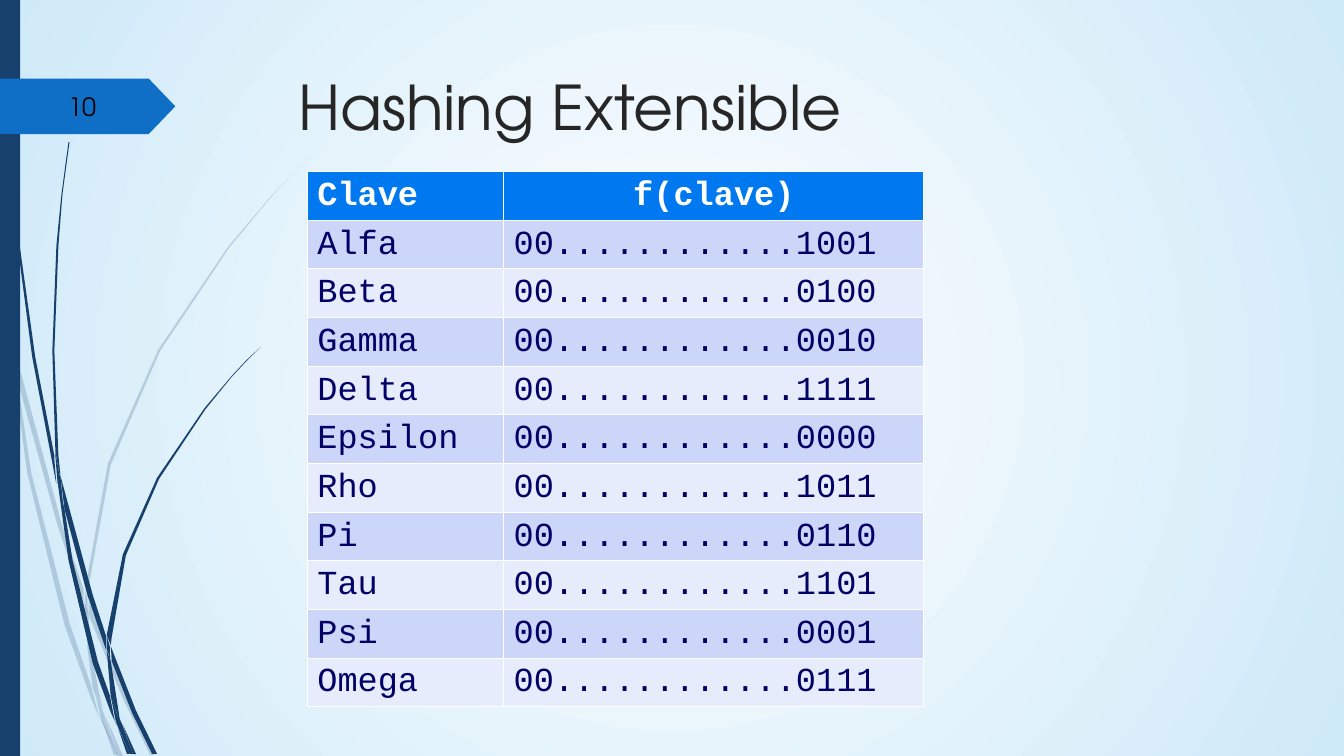
from dataclasses import dataclass

from lxml.etree import SubElement
from pptx import Presentation
from pptx.dml.color import RGBColor
from pptx.enum.shapes import MSO_SHAPE
from pptx.enum.text import MSO_ANCHOR, PP_ALIGN
from pptx.oxml.ns import qn
from pptx.util import Cm, Pt

Point = tuple[int, int]


@dataclass(frozen=True)
class Theme:
    display_font: str = "TeX Gyre Adventor"
    table_font: str = "Courier New"
    title_size: float = 44
    number_size: float = 18
    table_size: float = 24
    navy: str = "17406D"
    tab: str = "0F6FC6"
    title: str = "262626"
    number: str = "000000"
    header: str = "0078F0"
    header_text: str = "FFFFFF"
    body_text: str = "000066"
    bands: tuple[str, str] = ("CBD6F9", "E7ECFC")
    border: str = "FFFFFF"
    border_width: float = 0.75
    backdrop: tuple[str, str] = ("FFFFFF", "CEE9F8")


@dataclass(frozen=True)
class Plant:
    opacity: int  # percent
    blades: tuple[tuple[Point, ...], ...]


@dataclass(frozen=True)
class HashRow:
    key: str
    suffix: str


THEME = Theme()
BLADE_UNIT = Cm(2.54) / 100  # blade points are hundredths of an inch

PALE_PLANT = Plant(20, (
    ((10, 349), (7, 321), (0, 282), (0, 299), (9, 343)),
    ((57, 521), (83, 598), (83, 585), (61, 519), (14, 345), (17, 376)),
    ((92, 607), (88, 596), (88, 610), (122, 693), (149, 749), (153, 749), (126, 691)),
    ((118, 750), (122, 750), (105, 711)),
    ((91, 682), (69, 618), (31, 469), (17, 376), (11, 350), (27, 469), (64, 620),
     (90, 692), (99, 713), (97, 706)),
    ((84, 599), (87, 645), (92, 682), (96, 691), (104, 710), (102, 705), (90, 645),
     (88, 610), (88, 608)),
    ((88, 582), (110, 461), (159, 348), (228, 245), (267, 198), (288, 175), (310, 153),
     (288, 175), (267, 197), (227, 244), (157, 347), (107, 460), (85, 582), (85, 585),
     (88, 594)),
    ((101, 714), (113, 749), (117, 749)),
    ((86, 607), (87, 609), (87, 595), (85, 586), (84, 598)),
    ((96, 692), (93, 683), (99, 707), (100, 714), (117, 750), (118, 750), (104, 711)),
))
DARK_PLANT = Plant(100, (
    ((7, 110), (16, 232), (32, 354), (55, 475), (56, 480), (54, 456), (54, 452),
     (35, 354), (18, 232), (8, 109), (4, 48), (3, 0), (3, 48)),
    ((87, 591), (105, 644), (105, 632), (105, 630), (92, 590), (60, 472), (64, 505)),
    ((113, 649), (110, 641), (111, 656), (131, 707), (151, 748), (156, 748), (135, 705)),
    ((109, 690), (97, 656), (72, 556), (64, 505), (57, 477), (68, 556), (92, 658),
     (110, 707), (116, 720), (114, 716)),
    ((60, 471), (58, 452), (54, 348), (58, 244), (62, 193), (69, 141), (68, 141),
     (61, 193), (56, 244), (52, 348), (55, 448), (59, 470)),
    ((132, 748), (135, 748), (122, 719)),
    ((57, 477), (63, 504), (60, 472), (59, 471), (55, 449), (55, 453)),
    ((111, 632), (125, 551), (158, 475), (204, 406), (230, 374), (244, 359), (259, 344),
     (244, 358), (230, 373), (203, 405), (156, 474), (122, 550), (106, 630), (110, 640)),
    ((117, 722), (126, 748), (129, 748)),
    ((106, 645), (110, 691), (115, 705), (120, 717), (119, 714), (110, 656), (108, 651)),
    ((106, 644), (108, 649), (109, 655), (109, 641), (106, 631), (106, 633)),
    ((115, 706), (110, 691), (115, 716), (117, 721), (129, 748), (132, 748), (121, 718)),
))
HASH_ROWS = (
    HashRow("Alfa", "1001"), HashRow("Beta", "0100"), HashRow("Gamma", "0010"),
    HashRow("Delta", "1111"), HashRow("Epsilon", "0000"), HashRow("Rho", "1011"),
    HashRow("Pi", "0110"), HashRow("Tau", "1101"), HashRow("Psi", "0001"),
    HashRow("Omega", "0111"),
)


def paint(shape, colour: str, opacity: int = 100) -> None:
    shape.shadow.inherit = False
    shape.line.fill.background()
    shape.fill.solid()
    shape.fill.fore_color.rgb = RGBColor.from_string(colour)
    if opacity < 100:
        tint = shape.element.spPr.find(qn("a:solidFill")).find(qn("a:srgbClr"))
        SubElement(tint, qn("a:alpha"), val=str(opacity * 1000))


def style_text(para, font_name: str, size: float, colour: str, bold: bool = False) -> None:
    para.font.name = font_name
    para.font.size = Pt(size)
    para.font.bold = bold
    para.font.color.rgb = RGBColor.from_string(colour)


def draw_background(page) -> None:
    fill = page.background.fill
    fill.gradient()
    for stop, colour in zip(fill.gradient_stops, THEME.backdrop):
        stop.color.rgb = RGBColor.from_string(colour)
    gradient = page.element.find(".//" + qn("a:gradFill"))
    gradient.remove(gradient.find(qn("a:lin")))
    circle = SubElement(gradient, qn("a:path"), path="circle")
    SubElement(circle, qn("a:fillToRect"), l="50000", t="50000", r="50000", b="50000")


def draw_plant(page, plant: Plant) -> None:
    group = page.shapes.add_group_shape()
    for start, *rest in plant.blades:
        builder = group.shapes.build_freeform(*start, scale=BLADE_UNIT)
        builder.add_line_segments(rest, close=True)
        paint(builder.convert_to_shape(), THEME.navy, plant.opacity)


def draw_title(page) -> None:
    title = page.shapes.title
    title.left, title.top, title.width, title.height = Cm(7.26), Cm(1.7), Cm(24.77), Cm(2.51)
    frame = title.text_frame
    frame.text = "Hashing Extensible"
    frame.vertical_anchor = MSO_ANCHOR.TOP
    para = frame.paragraphs[0]
    para.alignment = PP_ALIGN.LEFT
    para.line_spacing = 0.98
    style_text(para, THEME.display_font, THEME.title_size, THEME.title)


def draw_page_number(page) -> None:
    tab = page.shapes.add_shape(MSO_SHAPE.PENTAGON, 0, Cm(1.98), Cm(4.42), Cm(1.4))
    tab.adjustments[0] = 0.48
    paint(tab, THEME.tab)
    box = page.shapes.add_textbox(Cm(1.47), Cm(2.18), Cm(2.16), Cm(1.02))
    frame = box.text_frame
    frame.word_wrap = True
    frame.vertical_anchor = MSO_ANCHOR.MIDDLE
    frame.text = "10"
    style_text(frame.paragraphs[0], THEME.display_font, THEME.number_size, THEME.number)


def fill_cell(cell, text: str, fill: str, colour: str, bold: bool) -> None:
    properties = cell._tc.get_or_add_tcPr()
    for side in ("a:lnL", "a:lnR", "a:lnT", "a:lnB"):
        line = SubElement(properties, qn(side), w=str(Pt(THEME.border_width)))
        SubElement(SubElement(line, qn("a:solidFill")), qn("a:srgbClr"), val=THEME.border)
    cell.fill.solid()
    cell.fill.fore_color.rgb = RGBColor.from_string(fill)
    cell.margin_left = cell.margin_right = Cm(0.25)
    cell.margin_top, cell.margin_bottom = Cm(0.15), Cm(0.13)
    cell.text = text
    para = cell.text_frame.paragraphs[0]
    para.line_spacing = 0.93
    style_text(para, THEME.table_font, THEME.table_size, colour, bold)


def draw_hash_table(page) -> None:
    widths, row_height = (Cm(4.95), Cm(10.59)), Cm(1.18)
    lines = [("Clave", "f(clave)")]
    lines += [(row.key, "00" + "." * 12 + row.suffix) for row in HASH_ROWS]
    table = page.shapes.add_table(len(lines), len(widths), Cm(7.75), Cm(4.32),
                                  sum(widths), row_height * len(lines)).table
    for column, width in zip(table.columns, widths):
        column.width = width
    for index, texts in enumerate(lines):
        header = index == 0
        fill = THEME.header if header else THEME.bands[(index - 1) % 2]
        colour = THEME.header_text if header else THEME.body_text
        for column, text in enumerate(texts):
            fill_cell(table.cell(index, column), text, fill, colour, header)
    table.cell(0, 1).text_frame.paragraphs[0].alignment = PP_ALIGN.CENTER


def main() -> None:
    deck = Presentation()
    deck.slide_width, deck.slide_height = Cm(33.88), Cm(19.05)
    page = deck.slides.add_slide(deck.slide_layouts[5])  # title only
    # Backdrop and decoration
    draw_background(page)
    for plant in (PALE_PLANT, DARK_PLANT):
        draw_plant(page, plant)
    paint(page.shapes.add_shape(MSO_SHAPE.RECTANGLE, 0, 0, Cm(0.51), Cm(19.05)), THEME.navy)
    # Content
    draw_page_number(page)
    draw_title(page)
    draw_hash_table(page)
    deck.save("out.pptx")


if __name__ == "__main__":
    main()
